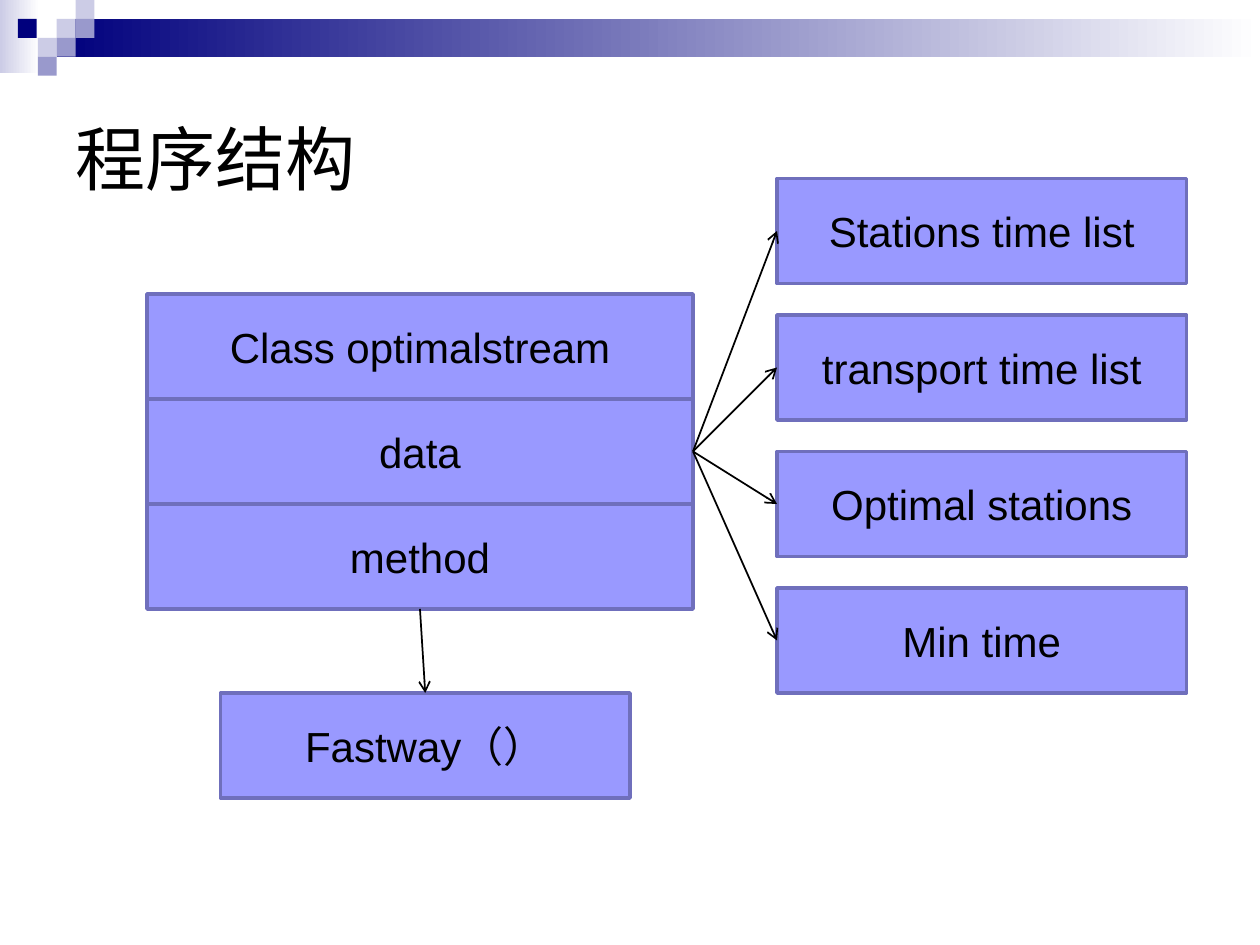
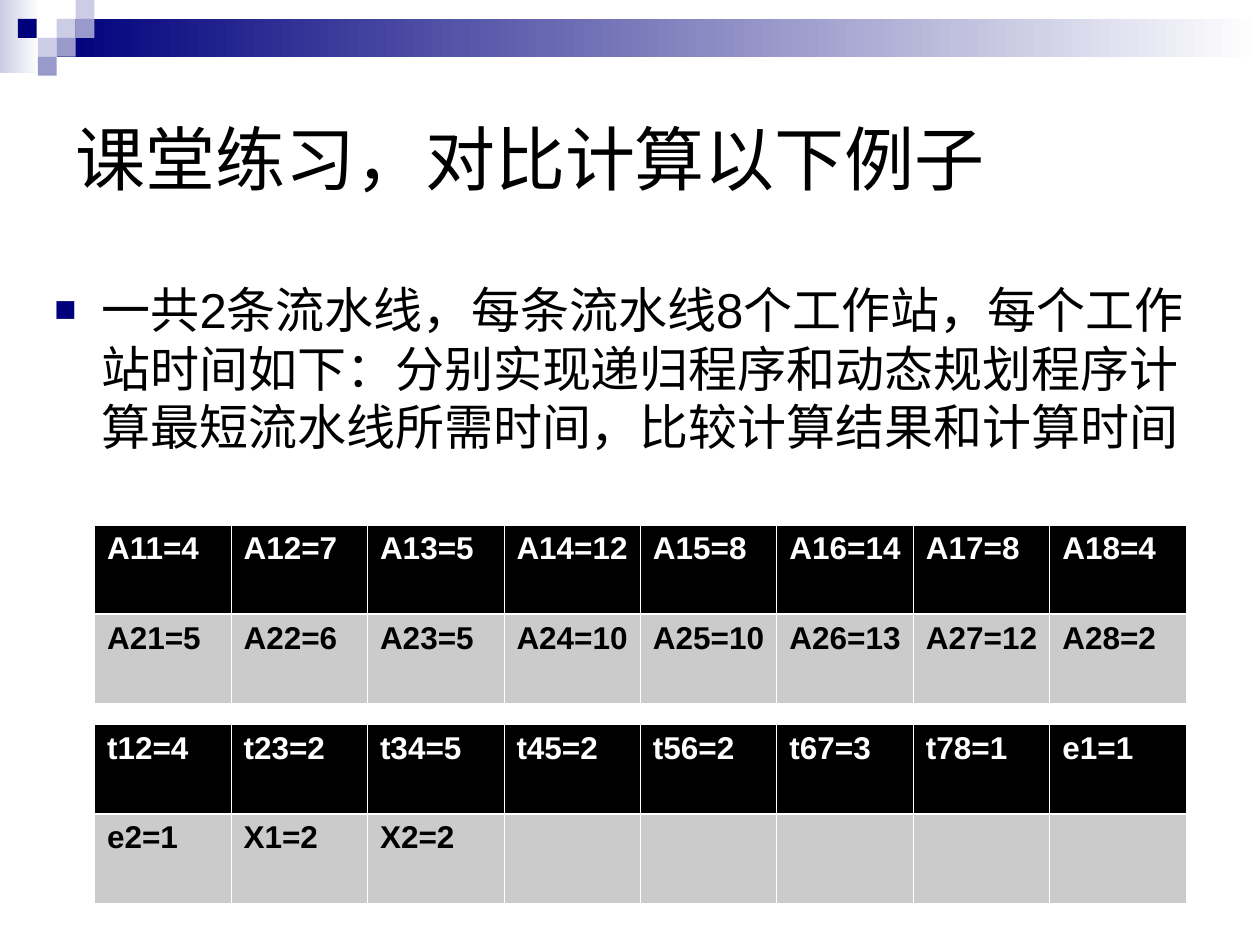
import pptx
import pptx.dml.color
import pptx.enum.dml
import pptx.enum.shapes
import pptx.enum.text
import pptx.oxml
import pptx.oxml.ns
import pptx.util
from lxml import etree

Pt = pptx.util.Pt
FONT = "Arial"
BLACK, WHITE = "000000", "FFFFFF"
NAVY, MIST, LAVENDER = "00007D", "CCCCE6", "9999CC"
BOX_FILL, BOX_LINE = "9999FF", "6F6FBC"
CELL_GREY = "CBCBCB"
RECTANGLE = pptx.enum.shapes.MSO_SHAPE.RECTANGLE
TOP, LEFT, BOTTOM, RIGHT = 0, 1, 2, 3
BOX_HEIGHT = 60
SQUARE = 10.8
SQUARE_COLUMNS = (10.2, 21.6, 32.4, 43.2)
SQUARES = [
    (2, 1, MIST), (3, 0, MIST), (3, 1, LAVENDER), (1, 2, MIST),
    (0, 1, NAVY), (2, 2, LAVENDER), (1, 3, LAVENDER),
]


def colour(hex_string):
    return pptx.dml.color.RGBColor.from_string(hex_string)


def points(*lengths):
    return [Pt(length) for length in lengths]


def add_child(parent, tag, **attributes):
    return etree.SubElement(parent, pptx.oxml.ns.qn(tag), attributes)


def add_run(paragraph, text, size, text_colour=BLACK, bold=False):
    run = paragraph.add_run()
    run.text = text
    run.font.name = FONT
    run.font.size = Pt(size)
    run.font.bold = bold
    run.font.color.rgb = colour(text_colour)


def add_plain_rectangle(shapes, box):
    shape = shapes.add_shape(RECTANGLE, *points(*box))
    shape.shadow.inherit = False
    shape.line.fill.background()
    return shape


def add_gradient_bar(shapes, box, start_colour):
    fill = add_plain_rectangle(shapes, box).fill
    fill.gradient()
    fill.gradient_angle = 0
    for stop, position, stop_colour in zip(
        fill.gradient_stops, (0, 1), (start_colour, WHITE)
    ):
        stop.position = position
        stop.color.rgb = colour(stop_colour)


def add_header_band(slide):
    shapes = slide.shapes.add_group_shape().shapes
    add_gradient_bar(shapes, (0, 0, 22.5, 42), MIST)
    add_gradient_bar(shapes, (32.4, SQUARE, 687.6, 2 * SQUARE), NAVY)
    for column, row, square_colour in SQUARES:
        box = (SQUARE_COLUMNS[column], row * SQUARE, SQUARE, SQUARE)
        fill = add_plain_rectangle(shapes, box).fill
        fill.solid()
        fill.fore_color.rgb = colour(square_colour)


def add_titled_slide(presentation, text):
    slide = presentation.slides.add_slide(presentation.slide_layouts[5])
    add_header_band(slide)
    title = slide.shapes.title
    title.left, title.top, title.width, title.height = points(36, 36, 648, 108)
    frame = title.text_frame
    frame.auto_size = pptx.enum.text.MSO_AUTO_SIZE.NONE
    frame.vertical_anchor = pptx.enum.text.MSO_ANCHOR.MIDDLE
    paragraph = frame.paragraphs[0]
    paragraph.alignment = pptx.enum.text.PP_ALIGN.LEFT
    add_run(paragraph, text, 40)
    return slide


def add_label_box(slide, left, top, width, text):
    shape = slide.shapes.add_shape(RECTANGLE, *points(left, top, width, BOX_HEIGHT))
    shape.shadow.inherit = False
    shape.fill.solid()
    shape.fill.fore_color.rgb = colour(BOX_FILL)
    shape.line.color.rgb = colour(BOX_LINE)
    shape.line.width = Pt(2)
    frame = shape.text_frame
    frame.word_wrap = True
    frame.vertical_anchor = pptx.enum.text.MSO_ANCHOR.MIDDLE
    paragraph = frame.paragraphs[0]
    paragraph.alignment = pptx.enum.text.PP_ALIGN.CENTER
    add_run(paragraph, text, 24)
    return shape


def add_box_column(slide, left, top, width, pitch, labels):
    return [
        add_label_box(slide, left, top + index * pitch, width, label)
        for index, label in enumerate(labels)
    ]


def add_arrow(slide, source, source_side, target, target_side):
    connector = slide.shapes.add_connector(
        pptx.enum.shapes.MSO_CONNECTOR.STRAIGHT, 0, 0, 0, 0
    )
    connector.begin_connect(source, source_side)
    connector.end_connect(target, target_side)
    connector.line.color.rgb = colour(BLACK)
    connector.line.width = Pt(1)
    add_child(connector.line._get_or_add_ln(), "a:tailEnd", type="arrow")
    add_child(connector._element.spPr, "a:effectLst")


def add_bullet_text(slide, box, text):
    frame = slide.shapes.add_textbox(*points(*box)).text_frame
    frame.word_wrap = True
    paragraph = frame.paragraphs[0]
    properties = paragraph._p.get_or_add_pPr()
    properties.set("marL", str(Pt(27)))
    properties.set("indent", str(-Pt(27)))
    add_child(add_child(properties, "a:buClr"), "a:srgbClr", val=NAVY)
    add_child(properties, "a:buSzPct", val="75000")
    add_child(properties, "a:buFont", typeface=FONT)
    add_child(properties, "a:buChar", char="■")
    add_run(paragraph, text, 28)


def set_cell_borders(cell, widths):
    properties = cell._tc.get_or_add_tcPr()
    for side, width in zip("LRTB", widths):
        line = add_child(properties, f"a:ln{side}", w=str(Pt(width)))
        add_child(add_child(line, "a:solidFill"), "a:srgbClr", val=WHITE)


def add_value_table(slide, box, rows):
    table = slide.shapes.add_table(len(rows), len(rows[0]), *points(*box)).table
    table.horz_banding = False
    for row_index, values in enumerate(rows):
        header = row_index == 0
        borders = (0.45, 0.45, 0.45, 1.47) if header else (0.45, 0.45, 1.47, 0.45)
        for column_index, value in enumerate(values):
            cell = table.cell(row_index, column_index)
            set_cell_borders(cell, borders)
            cell.fill.solid()
            cell.fill.fore_color.rgb = colour(BLACK if header else CELL_GREY)
            if value:
                paragraph = cell.text_frame.paragraphs[0]
                add_run(paragraph, value, 18, WHITE if header else BLACK, True)


def build_structure_slide(presentation):
    slide = add_titled_slide(presentation, "程序结构")
    _, data, method = add_box_column(
        slide, 84, 168, 312, BOX_HEIGHT, ["Class optimalstream", "data", "method"]
    )
    fields = add_box_column(
        slide, 444, 102, 234, 78,
        ["Stations time list", "transport time list", "Optimal stations", "Min time"],
    )
    fastway = add_label_box(slide, 126, 396, 234, "Fastway（）")
    for field in fields:
        add_arrow(slide, data, RIGHT, field, LEFT)
    add_arrow(slide, method, BOTTOM, fastway, TOP)


def build_exercise_slide(presentation):
    slide = add_titled_slide(presentation, "课堂练习，对比计算以下例子")
    add_bullet_text(
        slide, (24, 156, 660, 306),
        "一共2条流水线，每条流水线8个工作站，每个工作站时间如下："
        "分别实现递归程序和动态规划程序计算最短流水线所需时间，比较计算结果和计算时间",
    )
    station_times = [(4, 7, 5, 12, 8, 14, 8, 4), (5, 6, 5, 10, 10, 13, 12, 2)]
    stations = [
        [f"A{line}{station}={time}" for station, time in enumerate(times, 1)]
        for line, times in enumerate(station_times, 1)
    ]
    transfers = [
        ["t12=4", "t23=2", "t34=5", "t45=2", "t56=2", "t67=3", "t78=1", "e1=1"],
        ["e2=1", "X1=2", "X2=2"] + [""] * 5,
    ]
    for top, rows in ((300, stations), (414, transfers)):
        add_value_table(slide, (54, top, 624, 102), rows)


def main():
    presentation = pptx.Presentation()
    presentation.slide_width, presentation.slide_height = points(720, 540)
    build_structure_slide(presentation)
    build_exercise_slide(presentation)
    presentation.save("out.pptx")


if __name__ == "__main__":
    main()
